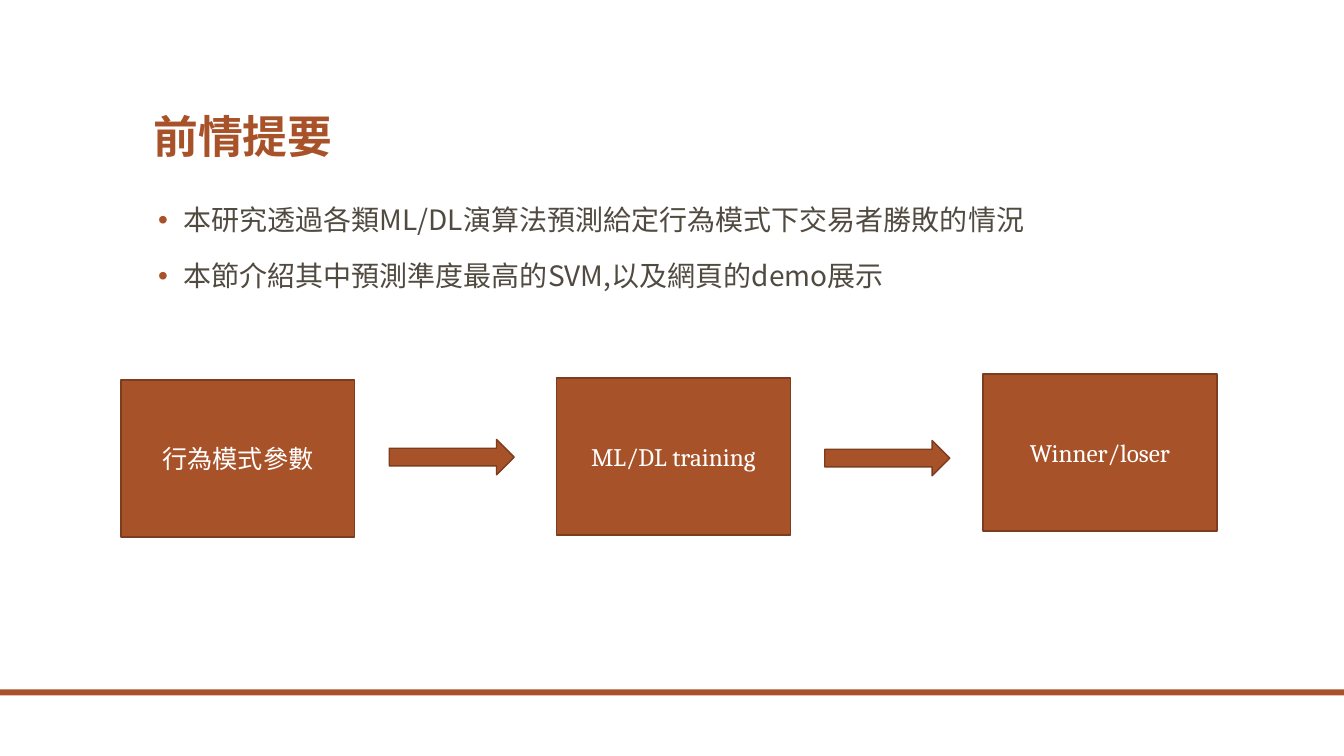
from dataclasses import dataclass

import lxml.etree
import pptx
import pptx.dml.color
import pptx.enum.shapes
import pptx.enum.text
import pptx.oxml.ns
import pptx.util

RUST = pptx.dml.color.RGBColor(0xA8, 0x52, 0x29)
DARK_RUST = pptx.dml.color.RGBColor(0x7C, 0x3D, 0x1E)
UMBER = pptx.dml.color.RGBColor(0x51, 0x4A, 0x40)
WHITE = pptx.dml.color.RGBColor(0xFF, 0xFF, 0xFF)

SANS = "Noto Sans CJK TC"
SERIF = "Cambria"
WIDTH = pptx.util.Inches(13.333)
HEIGHT = pptx.util.Inches(7.5)

RECTANGLE = pptx.enum.shapes.MSO_SHAPE.RECTANGLE
RIGHT_ARROW = pptx.enum.shapes.MSO_SHAPE.RIGHT_ARROW


@dataclass(frozen=True)
class Area:
    """A place on the slide, in percent of its width and height."""
    left: float
    top: float
    width: float
    height: float

    def box(self) -> tuple[int, int, int, int]:
        return (round(WIDTH * self.left / 100), round(HEIGHT * self.top / 100),
                round(WIDTH * self.width / 100), round(HEIGHT * self.height / 100))


@dataclass(frozen=True)
class TextStyle:
    font: str
    size: int
    color: pptx.dml.color.RGBColor
    bold: bool = False


@dataclass(frozen=True)
class Stage:
    label: str
    left: float
    top: float


@dataclass(frozen=True)
class Step:
    left: float
    top: float


TITLE_AREA = Area(10.65, 5.6, 78.77, 16.67)
SUMMARY_AREA = Area(10.65, 26.67, 78.77, 60)
FOOTER_AREA = Area(0, 91.2, 100, 0.8)
STAGE_SIZE = (17.4, 20.8)
STEP_SIZE = (9.3, 4.67)

TITLE_STYLE = TextStyle(SANS, 32, RUST, bold=True)
SUMMARY_STYLE = TextStyle(SANS, 20, UMBER)
STAGE_STYLE = TextStyle(SERIF, 18, WHITE)

SUMMARY = (
    "本研究透過各類ML/DL演算法預測給定行為模式下交易者勝敗的情況",
    "本節介紹其中預測準度最高的SVM,以及網頁的demo展示",
)
STAGES = (
    Stage("行為模式參數", 9, 50.27),
    Stage("ML/DL training", 41.4, 50),
    Stage("Winner/loser", 73.14, 49.47),
)
STEPS = (Step(28.96, 58.13), Step(61.37, 58.27))


def add_run(paragraph, text: str, style: TextStyle) -> None:
    run = paragraph.add_run()
    run.text = text
    run.font.name = style.font
    run.font.size = pptx.util.Pt(style.size)
    run.font.bold = style.bold
    run.font.color.rgb = style.color
    # Chinese characters always use the sans face
    east_asian = lxml.etree.SubElement(run.font._element, pptx.oxml.ns.qn("a:ea"))
    east_asian.set("typeface", SANS)


def add_bullet(paragraph) -> None:
    properties = paragraph._p.get_or_add_pPr()
    properties.set("marL", str(pptx.util.Inches(0.3)))
    properties.set("indent", str(pptx.util.Inches(-0.25)))
    color = lxml.etree.SubElement(properties, pptx.oxml.ns.qn("a:buClr"))
    lxml.etree.SubElement(color, pptx.oxml.ns.qn("a:srgbClr")).set("val", str(RUST))
    lxml.etree.SubElement(properties, pptx.oxml.ns.qn("a:buFont")).set("typeface", "Arial")
    lxml.etree.SubElement(properties, pptx.oxml.ns.qn("a:buChar")).set("char", "•")


def add_block(slide, kind, area: Area, outlined: bool = True):
    block = slide.shapes.add_shape(kind, *area.box())
    block.shadow.inherit = False
    block.fill.solid()
    block.fill.fore_color.rgb = RUST
    if outlined:
        block.line.color.rgb = DARK_RUST
        block.line.width = pptx.util.Pt(1)
    else:
        block.line.fill.background()
    return block


def add_title(slide, text: str) -> None:
    title = slide.shapes.title
    title.left, title.top, title.width, title.height = TITLE_AREA.box()
    title.text_frame.vertical_anchor = pptx.enum.text.MSO_ANCHOR.BOTTOM
    paragraph = title.text_frame.paragraphs[0]
    paragraph.alignment = pptx.enum.text.PP_ALIGN.LEFT
    paragraph.line_spacing = 0.9
    add_run(paragraph, text, TITLE_STYLE)


def add_summary(slide) -> None:
    frame = slide.shapes.add_textbox(*SUMMARY_AREA.box()).text_frame
    frame.word_wrap = True
    for index, point in enumerate(SUMMARY):
        paragraph = frame.add_paragraph() if index else frame.paragraphs[0]
        add_bullet(paragraph)
        paragraph.line_spacing = 0.9
        if index:
            paragraph.space_before = pptx.util.Pt(18)
        add_run(paragraph, point, SUMMARY_STYLE)


def add_stage(slide, stage: Stage) -> None:
    block = add_block(slide, RECTANGLE, Area(stage.left, stage.top, *STAGE_SIZE))
    block.text_frame.word_wrap = True
    block.text_frame.vertical_anchor = pptx.enum.text.MSO_ANCHOR.MIDDLE
    paragraph = block.text_frame.paragraphs[0]
    paragraph.alignment = pptx.enum.text.PP_ALIGN.CENTER
    add_run(paragraph, stage.label, STAGE_STYLE)


def main() -> None:
    deck = pptx.Presentation()
    deck.slide_width, deck.slide_height = WIDTH, HEIGHT
    slide = deck.slides.add_slide(deck.slide_layouts.get_by_name("Title Only"))

    # Footer rule, title and summary
    add_block(slide, RECTANGLE, FOOTER_AREA, outlined=False)
    add_title(slide, "前情提要")
    add_summary(slide)

    # Process flow
    for stage in STAGES:
        add_stage(slide, stage)
    for step in STEPS:
        add_block(slide, RIGHT_ARROW, Area(step.left, step.top, *STEP_SIZE))

    deck.save("out.pptx")


if __name__ == "__main__":
    main()
